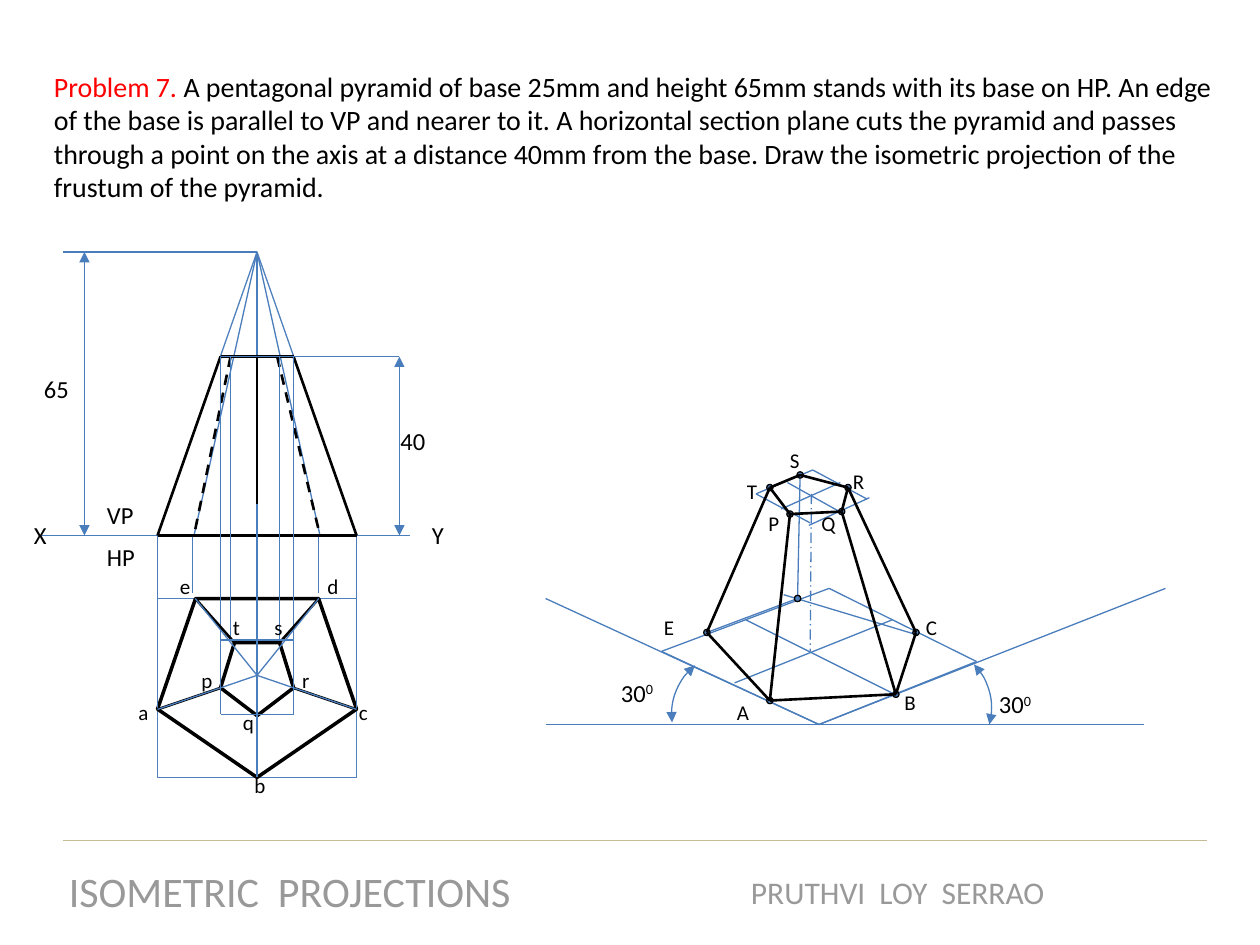
import dataclasses
import itertools

import pptx
import pptx.dml.color
import pptx.enum.dml
import pptx.enum.shapes
import pptx.enum.text
import pptx.oxml.ns
import pptx.util
from lxml import etree
from pptx.util import Inches

SHAPE = pptx.enum.shapes.MSO_SHAPE
DASH = pptx.enum.dml.MSO_LINE
ALIGN = pptx.enum.text.PP_ALIGN


@dataclasses.dataclass(frozen=True)
class Theme:
    font: str = "Calibri"
    ink: str = "000000"
    red: str = "FF0000"
    grey: str = "999999"
    paper: str = "FFFFFF"
    guide: str = "4A7DBB"
    blue: str = "4F81BD"
    rule: str = "C4BD97"
    body: int = 16
    note: int = 14
    mark: int = 12
    head: int = 24
    name: int = 18
    thin: float = 0.75
    bold: float = 1.5
    heavy: float = 2


THEME = Theme()


def color(code):
    return pptx.dml.color.RGBColor.from_string(code)


def add_xml(parent, tag, **attrs):
    return etree.SubElement(parent, pptx.oxml.ns.qn(tag), **attrs)


def arrows(shape):
    """Put a triangle on both ends of a line or arc."""
    outline = shape.line._get_or_add_ln()
    for tag in ("a:headEnd", "a:tailEnd"):
        add_xml(outline, tag, type="triangle")


@dataclasses.dataclass
class Box:
    """A region of the slide; its parts are placed from its top left corner."""
    slide: pptx.slide.Slide
    left: float
    top: float
    width: float
    height: float

    def spot(self, x, y):
        return Inches(self.left + x), Inches(self.top + y)

    def line(self, start, end, ink=THEME.guide, width=THEME.thin, dash=None):
        link = self.slide.shapes.add_connector(
            pptx.enum.shapes.MSO_CONNECTOR.STRAIGHT, *self.spot(*start), *self.spot(*end))
        link.line.color.rgb = color(ink)
        link.line.width = pptx.util.Pt(width)
        if dash:
            link.line.dash_style = dash
        add_xml(link._element.spPr, "a:effectLst")
        return link

    def edge(self, start, end, dash=None):
        self.line(start, end, THEME.ink, THEME.bold, dash)

    def shape(self, kind, x, y, wide, high, fill, ink, width=THEME.thin, turn=0):
        form = self.slide.shapes.add_shape(
            kind, *self.spot(x, y), Inches(wide), Inches(high))
        form.shadow.inherit = False
        form.rotation = turn
        if fill:
            form.fill.solid()
            form.fill.fore_color.rgb = color(fill)
        else:
            form.fill.background()
        form.line.color.rgb = color(ink)
        form.line.width = pptx.util.Pt(width)
        return form

    def text(self, x, y, wide, high, size, runs, wrap=False, align=ALIGN.LEFT):
        """Add a text box; runs are (words, color) pairs."""
        area = self.slide.shapes.add_textbox(*self.spot(x, y), Inches(wide), Inches(high))
        area.text_frame.word_wrap = wrap
        para = area.text_frame.paragraphs[0]
        para.alignment = align
        for words, ink in runs:
            run = para.add_run()
            run.text = words
            run.font.name = THEME.font
            run.font.size = pptx.util.Pt(size)
            run.font.color.rgb = color(ink)
        return para

    def labels(self, size, marks):
        for words, x, y in marks:
            self.text(x, y, 0.2 + 0.15 * len(words), 0.3, size, [(words, THEME.ink)])


def header(box):
    box.text(0, 0, box.width, box.height, THEME.body, [
        ("Problem 7. ", THEME.red),
        ("A pentagonal pyramid of base 25mm and height 65mm stands with its base on HP. "
         "An edge of the base is parallel to VP and nearer to it. A horizontal section "
         "plane cuts the pyramid and passes through a point on the axis at a distance "
         "40mm from the base. Draw the isometric projection of the frustum of the "
         "pyramid.", THEME.ink)], wrap=True)


def views(box):
    """Front view above the XY line, top view below it."""
    left, axis, right = 1.08, 1.87, 2.66
    cut, base, foot = 0.83, 2.25, 4.17
    near, far = 1.58, 2.16
    apex, core = (axis, 0), (axis, 3.36)
    outer = dict(a=(left, 3.63), b=(axis, foot), c=(right, 3.63),
                 d=(2.36, 2.75), e=(1.38, 2.75))
    inner = dict(a=(near, 3.46), b=(axis, 3.68), c=(far, 3.46),
                 d=(2.05, 3.1), e=(1.69, 3.1))

    box.shape(SHAPE.ISOSCELES_TRIANGLE, left, 0, right - left, base, THEME.paper, THEME.blue)
    plan = (left, 2.75, right - left, foot - 2.75, THEME.paper)
    box.shape(SHAPE.RECTANGLE, *plan, THEME.blue)
    box.shape(SHAPE.REGULAR_PENTAGON, *plan, THEME.ink, THEME.heavy, 180)

    box.line((0.16, base), (3.08, base))
    for x, low in ((left, 3.63), (1.36, 2.71), (2.36, 2.71), (right, 3.63)):
        box.line((x, low), (x, base))
    for x in (1.37, axis, 2.37):
        box.line(apex, (x, base))
    for high, low in ((near, left), (axis, axis), (far, right)):
        box.edge((high, cut), (low, base))
    box.edge((near, cut), (far, cut))
    box.edge((left, base), (right, base))
    for high, low in ((1.66, 1.37), (2.03, 2.37)):
        box.edge((high, cut), (low, base), DASH.DASH)

    box.line(apex, (0.33, 0))
    box.line((near, cut), (3, cut))
    for x, top in ((0.5, 0), (3, cut)):
        arrows(box.line((x, top), (x, base)))
    for x, low in ((near, 3.5), (far, 3.46), (1.66, 3.08), (2.05, 3.08)):
        box.line((x, cut), (x, low))

    box.shape(SHAPE.REGULAR_PENTAGON, near, 3.1, far - near, 0.58,
              THEME.paper, THEME.ink, THEME.heavy, 180)
    for key, point in outer.items():
        box.edge(inner[key], point)
        box.line(core, point)
    box.line(core, (axis, 2))
    frame = [(near, 3.08), (far, 3.08), (far, 3.67), (near, 3.67)]
    for start, end in itertools.pairwise(frame + frame[:1]):
        box.line(start, end)

    box.labels(THEME.note, [("X", 0, 2.08), ("Y", 3.16, 2.08), ("VP", 0.58, 1.92),
                            ("HP", 0.58, 2.25), ("65", 0.08, 0.92), ("40", 2.91, 1.33)])
    box.labels(THEME.mark, [
        ("a", 0.83, 3.5), ("b", 1.75, 4.08), ("c", 2.58, 3.5), ("d", 2.33, 2.5),
        ("e", 1.16, 2.5), ("p", 1.33, 3.25), ("q", 1.66, 3.58), ("r", 2.13, 3.25),
        ("s", 1.91, 2.83), ("t", 1.58, 2.83)])


def solid(box):
    """Isometric projection of the frustum with its guide lines."""
    base = dict(A=(1.78, 2.06), B=(2.78, 2.01), C=(2.94, 1.52),
                D=(2, 1.25), E=(1.28, 1.52))
    top = dict(P=(1.94, 0.58), Q=(2.35, 0.56), R=(2.4, 0.37),
               S=(2.02, 0.27), T=(1.78, 0.37))
    guides = [
        ((0, 2.25), (4.75, 2.25)), ((2.17, 2.25), (0, 1.25)),
        ((0.92, 1.67), (2.25, 1.17)), ((2.25, 1.17), (3.42, 1.75)),
        ((2.17, 2.25), (4.92, 1.17)), ((2.17, 2.25), (3.42, 1.75)),
        ((0.92, 1.67), (2.17, 2.25)), ((1.59, 1.42), (2.75, 2)),
        ((1.5, 1.92), (2.75, 1.42)), ((1.89, 1.22), (2.92, 1.53)),
        ((1.67, 0.42), (2.12, 0.23)), ((2.09, 0.67), (2.57, 0.45)),
        ((1.67, 0.42), (2.1, 0.65)), ((1.92, 0.33), (2.35, 0.57)),
        ((2.12, 0.23), (2.55, 0.46)), ((1.87, 0.54), (2.34, 0.33)),
        (base["D"], base["E"]), (top["S"], base["D"])]
    for start, end in guides:
        box.line(start, end)
    box.line((2.11, 0.42), (2.1, 1.67), dash=DASH.LONG_DASH_DOT)

    for x, y, turn, sweep in ((2.54, 1.62, 39, (166.31, 201.67)),
                              (1, 1.67, 270, (157.67, 192.65))):
        arc = box.shape(SHAPE.ARC, x, y, 1, 1, None, THEME.guide, turn=turn)
        arc.adjustments[0], arc.adjustments[1] = sweep
        arrows(arc)

    dot = 0.05
    for x, y in [*base.values(), *top.values()]:
        box.shape(SHAPE.OVAL, x - dot / 2, y - dot / 2, dot, dot, THEME.blue, THEME.ink)
    points = base | top
    for start, end in "EA AB BC PQ QR RS ST TP PA QB RC TE".split():
        box.edge(points[start], points[end])

    for x, y in ((0.5, 1.83), (3.5, 1.92)):
        angle = box.text(x, y, 0.47, 0.34, THEME.note, [("30", THEME.ink), ("0", THEME.ink)])
        angle.runs[1]._r.get_or_add_rPr().set("baseline", "30000")
    box.labels(THEME.mark, [
        ("A", 1.42, 2), ("B", 2.75, 1.92), ("C", 2.92, 1.33), ("E", 0.84, 1.33),
        ("P", 1.67, 0.5), ("Q", 2.09, 0.5), ("R", 2.34, 0.17), ("S", 1.84, 0),
        ("T", 1.5, 0.25)])


def footer(box):
    box.line((box.width, 0), (0, 0), THEME.rule)
    for words, x, y, wide, high, size in (
            ("ISOMETRIC  PROJECTIONS", -0.07, 0.15, 3.74, 0.5, THEME.head),
            ("PRUTHVI  LOY  SERRAO", 5.35, 0.21, 2.55, 0.4, THEME.name)):
        box.text(x, y, wide, high, size, [(words, THEME.grey)], align=ALIGN.CENTER)


def main():
    deck = pptx.Presentation()
    deck.slide_width, deck.slide_height = Inches(10), Inches(7.5)
    slide = deck.slides.add_slide(deck.slide_layouts[6])
    header(Box(slide, 0.33, 0.5, 9.42, 1.18))
    views(Box(slide, 0.17, 2, 3.46, 4.38))
    solid(Box(slide, 4.33, 3.5, 4.92, 2.3))
    footer(Box(slide, 0.5, 6.67, 9.08, 0.65))
    deck.save("out.pptx")


if __name__ == "__main__":
    main()
